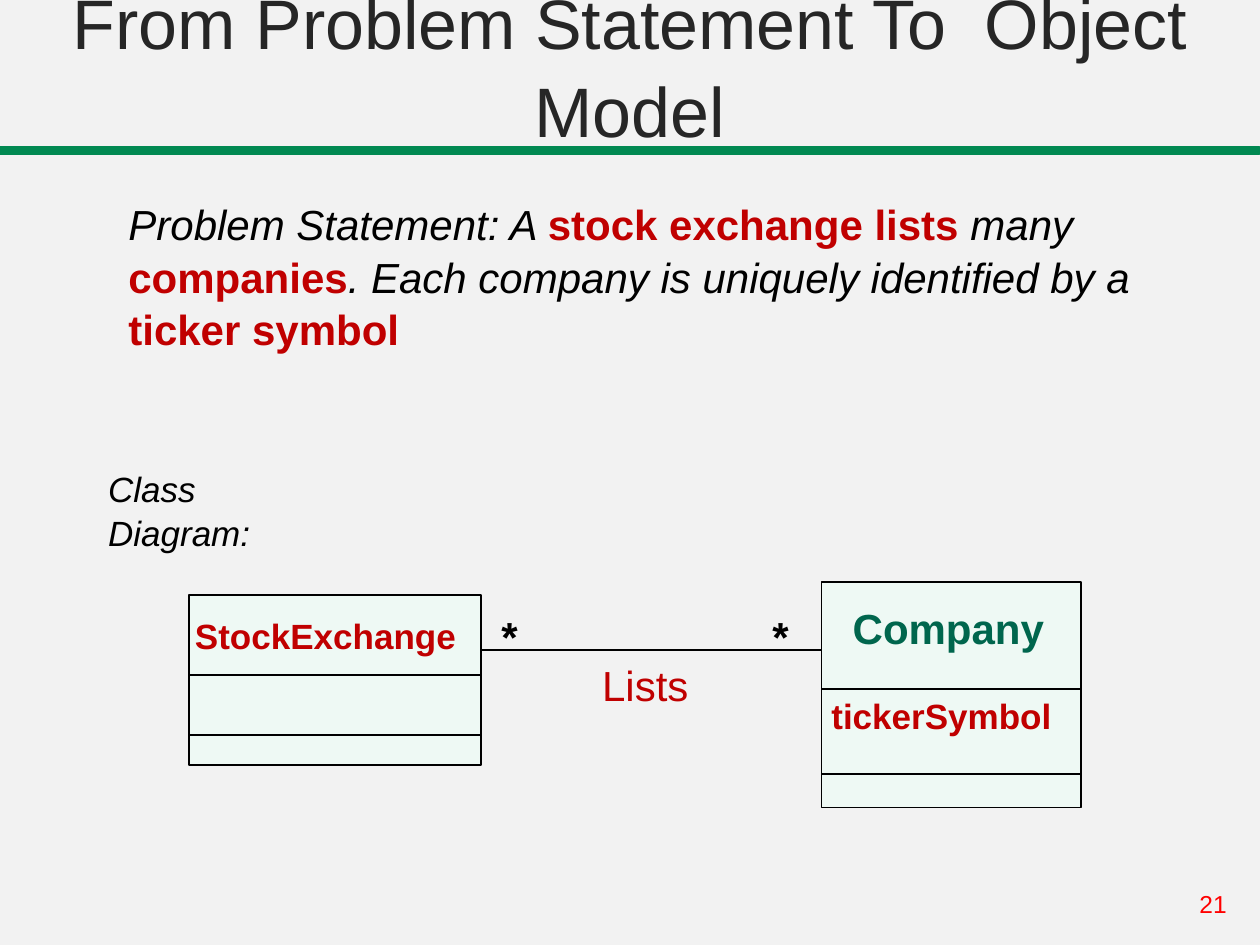
from dataclasses import dataclass

from lxml.etree import SubElement
from pptx import Presentation
from pptx.dml.color import RGBColor
from pptx.enum.shapes import MSO_CONNECTOR, MSO_SHAPE
from pptx.enum.text import MSO_ANCHOR, PP_ALIGN
from pptx.oxml.ns import qn
from pptx.util import Cm, Pt

BLACK, RED, GREEN, MINT = "000000", "C00000", "018952", "EEF9F4"
PLAIN = {"name": "Arial", "bold": False, "italic": False}
ITALIC = {"italic": True}
BOLD = {"bold": True}


@dataclass
class Box:
    """Place and size in centimetres."""
    x: float
    y: float
    w: float
    h: float

    def lens(self) -> list[Cm]:
        return [Cm(n) for n in (self.x, self.y, self.w, self.h)]


@dataclass
class Run:
    text: str
    size: int
    hue: str
    form: dict


@dataclass
class Node:
    """A class box with the heights of its two dividers."""
    box: Box
    rows: tuple[float, float]


def color(code: str) -> RGBColor:
    return RGBColor.from_string(code)


def add_rect(slide, box: Box, fill: str, edge: str, width: float) -> None:
    rect = slide.shapes.add_shape(MSO_SHAPE.RECTANGLE, *box.lens())
    rect.shadow.inherit = False
    rect.fill.solid()
    rect.fill.fore_color.rgb = color(fill)
    rect.line.color.rgb = color(edge)
    rect.line.width = Pt(width)


def add_line(slide, left: float, right: float, y: float) -> None:
    line = slide.shapes.add_connector(
        MSO_CONNECTOR.STRAIGHT, Cm(left), Cm(y), Cm(right), Cm(y))
    line.line.color.rgb = color(BLACK)
    line.line.width = Pt(1)
    SubElement(line._element.spPr, qn("a:effectLst"))


def add_text(slide, box: Box, *runs: Run, pad: float = 0.25,
             align=PP_ALIGN.LEFT, anchor=MSO_ANCHOR.TOP) -> None:
    frame = slide.shapes.add_textbox(*box.lens()).text_frame
    frame.word_wrap = True
    frame.vertical_anchor = anchor
    frame.margin_right = Cm(pad)
    para = frame.paragraphs[0]
    para.alignment = align
    para.line_spacing = 1.04
    for part in runs:
        run = para.add_run()
        run.text = part.text
        run.font.color.rgb = color(part.hue)
        for key, value in {**PLAIN, "size": Pt(part.size), **part.form}.items():
            setattr(run.font, key, value)


def main() -> None:
    deck = Presentation()
    deck.slide_width, deck.slide_height = Cm(25.4), Cm(19.05)
    slide = deck.slides.add_slide(deck.slide_layouts[6])
    slide.background.fill.solid()
    slide.background.fill.fore_color.rgb = color("F2F2F2")

    # Frame: rule, page number and title
    add_rect(slide, Box(0, 2.97, 25.4, 0.13), GREEN, GREEN, 1.75)
    add_text(slide, Box(23.93, 17.78, 1.47, 0.86), Run("21", 14, "FF0000", {}))
    add_text(slide, Box(0, 0.43, 25.4, 2.74),
             Run("From Problem Statement To  Object Model", 40, "262626", {}),
             align=PP_ALIGN.CENTER, anchor=MSO_ANCHOR.BOTTOM)

    # Class boxes with their dividers
    stock = Node(Box(3.81, 11.99, 5.89, 3.43), (13.61, 14.81))
    firm = Node(Box(16.56, 11.73, 5.23, 4.55), (13.89, 15.6))
    for node in (stock, firm):
        box = node.box
        add_rect(slide, box, MINT, BLACK, 1)
        for y in node.rows:
            add_line(slide, box.x, box.x + box.w, y)

    # Association between the classes
    add_line(slide, stock.box.x + stock.box.w, firm.box.x, 13.11)

    # Diagram labels; the wide right pad breaks the heading in two
    add_text(slide, Box(1.93, 9.27, 5.33, 1.09),
             Run("Class Diagram:", 20, BLACK, ITALIC), pad=1.8)
    labels = [
        (Box(3.68, 12.24, 5.82, 1.09), Run("StockExchange", 20, RED, BOLD)),
        (Box(16.94, 11.99, 4.39, 1.27), Run("Company", 24, "00664D", BOLD)),
        (Box(16.51, 13.84, 4.98, 1.09), Run("tickerSymbol", 20, RED, BOLD)),
        (Box(11.89, 13.13, 2.49, 1.27), Run("Lists", 24, RED, {})),
    ]
    for x in (15.32, 9.86):
        labels.append((Box(x, 12.14, 0.84, 1.27), Run("*", 24, BLACK, BOLD)))
    for box, run in labels:
        add_text(slide, box, run)

    # Problem statement: plain and key words take turns
    words = ["Problem Statement: A ", "stock exchange lists ", "many ",
             "companies", ". Each company is uniquely identified by a ",
             "ticker symbol"]
    looks = [(BLACK, ITALIC), (RED, BOLD)]
    add_text(slide, Box(2.34, 3.84, 20.73, 3.33),
             *(Run(text, 24, *looks[i % 2]) for i, text in enumerate(words)))

    deck.save("out.pptx")


if __name__ == "__main__":
    main()
